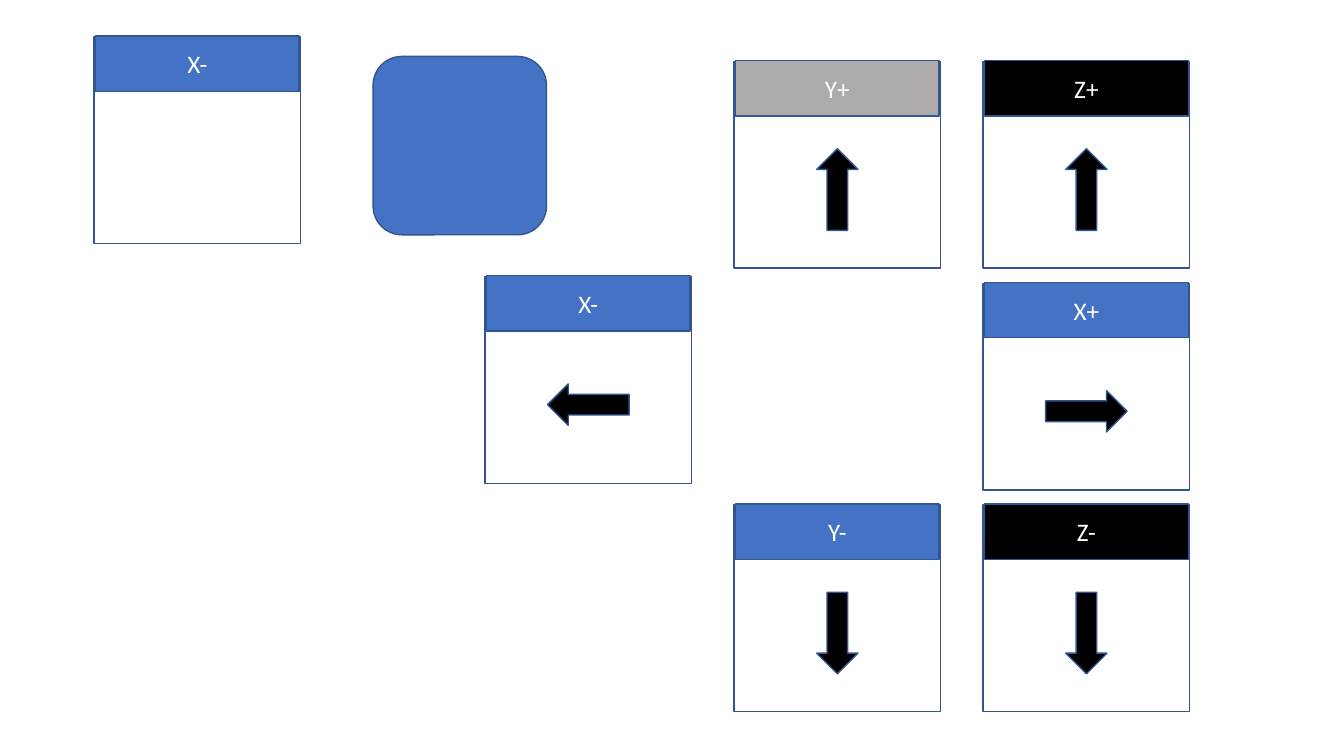
from pptx import Presentation, util as u
from pptx.dml.color import RGBColor
from pptx.enum import shapes, text

BLUE, GREY, BLACK, WHITE, OUTLINE = "4472C4", "AFABAB", "000000", "FFFFFF", "325491"
LEFT, TOP = 4.81, 0.61
COLUMN, ROW = 2.47, 2.2
CARD = 2.05
HEADER_WIDTH, HEADER_HEIGHT = 2.02, 0.55
ARROW_WIDTH, ARROW_HEIGHT = 0.81, 0.41
ARROW_CENTRE = 1.27
RIGHT, DOWN, WEST, UP = 0, 90, 180, 270

CARDS = [
    ("X+", 2, 1, BLUE, RIGHT),
    ("X-", -1.57, -0.11, BLUE, None),
    ("X-", 0, 0.97, BLUE, WEST),
    ("Y+", 1, 0, GREY, UP),
    ("Y-", 1, 2, BLUE, DOWN),
    ("Z+", 2, 0, BLACK, UP),
    ("Z-", 2, 2, BLACK, DOWN),
]


def colour(target, value):
    """Set a fill or line format to a solid hex colour."""
    fill = getattr(target, "fill", target)
    fill.solid()
    fill.fore_color.rgb = RGBColor.from_string(value)


def add_box(page, kind, left, top, width, height, fill):
    """Add a flat outlined preset shape, measured in inches."""
    box = page.shapes.add_shape(kind, *map(u.Inches, (left, top, width, height)))
    box.shadow.inherit = False
    colour(box.fill, fill)
    colour(box.line, OUTLINE)
    box.line.width = u.Pt(1)
    return box


def add_label(box, words):
    """Write centred white text in a shape."""
    box.text_frame.vertical_anchor = text.MSO_ANCHOR.MIDDLE
    para = box.text_frame.paragraphs[0]
    para.alignment = text.PP_ALIGN.CENTER
    span = para.add_run()
    span.text = words
    for name, value in {"size": u.Pt(18), "name": "Calibri"}.items():
        setattr(span.font, name, value)
    colour(span.font, WHITE)


def add_card(page, words, column, row, fill, direction):
    """Add an axis card with its header and, given a direction, its arrow."""
    kinds = shapes.MSO_SHAPE
    left, top = LEFT + column * COLUMN, TOP + row * ROW
    add_box(page, kinds.RECTANGLE, left, top, CARD, CARD, WHITE)
    header = add_box(page, kinds.RECTANGLE, left + (CARD - HEADER_WIDTH) / 2,
                     top - 0.01, HEADER_WIDTH, HEADER_HEIGHT, fill)
    add_label(header, words)
    if direction is not None:
        arrow = add_box(page, kinds.RIGHT_ARROW, left + (CARD - ARROW_WIDTH) / 2,
                        top + ARROW_CENTRE - ARROW_HEIGHT / 2,
                        ARROW_WIDTH, ARROW_HEIGHT, BLACK)
        arrow.rotation = direction


def main():
    """Build the slide of axis cards and save it."""
    deck = Presentation()
    deck.slide_width, deck.slide_height = u.Inches(13.33), u.Inches(7.5)
    page = deck.slides.add_slide(deck.slide_layouts[6])
    for card in CARDS:
        add_card(page, *card)
    add_box(page, shapes.MSO_SHAPE.ROUNDED_RECTANGLE, 3.7, 0.56, 1.72, 1.77, BLUE)
    deck.save("out.pptx")


main()
